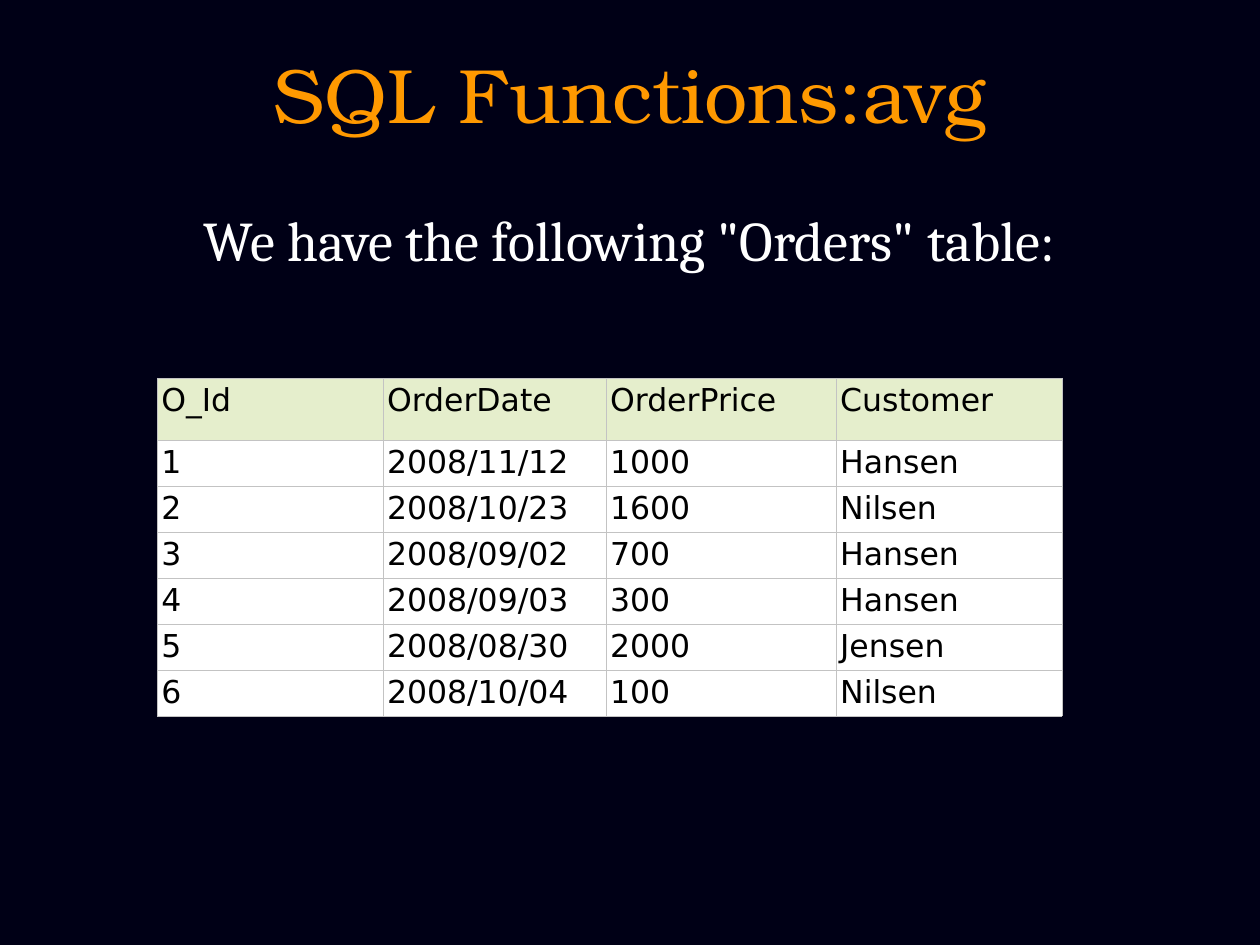
from lxml import etree
from pptx import Presentation
from pptx.dml.color import RGBColor
from pptx.enum.text import MSO_ANCHOR, PP_ALIGN
from pptx.oxml.ns import qn
from pptx.util import Pt

CENTER = PP_ALIGN.CENTER
TOP, MIDDLE = MSO_ANCHOR.TOP, MSO_ANCHOR.MIDDLE

COLORS = {
    "background": "000016",
    "title": "FF9900",
    "intro": "FFFFFF",
    "header": "E5EECC",
    "row": "FFFFFF",
    "cell_text": "000000",
    "border": "C3C3C3",
}

ORDERS = [
    ("O_Id", "OrderDate", "OrderPrice", "Customer"),
    ("1", "2008/11/12", "1000", "Hansen"),
    ("2", "2008/10/23", "1600", "Nilsen"),
    ("3", "2008/09/02", "700", "Hansen"),
    ("4", "2008/09/03", "300", "Hansen"),
    ("5", "2008/08/30", "2000", "Jensen"),
    ("6", "2008/10/04", "100", "Nilsen"),
]
COLUMN_WIDTHS = (129, 127.5, 131.5, 129)
HEADER_HEIGHT = 35.5


def color(name):
    return RGBColor.from_string(COLORS[name])


def style_font(font, face, size, color_name):
    font.name = face
    font.size = Pt(size)
    font.color.rgb = color(color_name)


def add_centered_line(slide, box, text, face, size, color_name, anchor):
    frame = slide.shapes.add_textbox(*map(Pt, box)).text_frame
    frame.word_wrap = True
    frame.vertical_anchor = anchor
    frame.text = text
    line = frame.paragraphs[0]
    line.alignment = CENTER
    style_font(line.runs[0].font, face, size, color_name)


def set_borders(cell):
    """Draw thin lines on all four sides; they must precede the cell fill."""
    properties = cell._tc.get_or_add_tcPr()
    for position, side in enumerate(("a:lnL", "a:lnR", "a:lnT", "a:lnB")):
        border = etree.Element(qn(side), w=str(Pt(0.34)))
        fill = etree.SubElement(border, qn("a:solidFill"))
        etree.SubElement(fill, qn("a:srgbClr"), val=COLORS["border"])
        properties.insert(position, border)


def fill_cell(cell, text, fill_name):
    cell.fill.solid()
    cell.fill.fore_color.rgb = color(fill_name)
    set_borders(cell)
    cell.margin_left = cell.margin_right = cell.margin_bottom = Pt(2.2)
    cell.margin_top = Pt(3.6)
    cell.text = text
    entry = cell.text_frame.paragraphs[0]
    entry.line_spacing = 0.94
    style_font(entry.runs[0].font, "DejaVu Sans", 18, "cell_text")


def add_orders_table(slide, box):
    height = box[3]
    table = slide.shapes.add_table(
        len(ORDERS), len(COLUMN_WIDTHS), *map(Pt, box)).table
    for column, width in zip(table.columns, COLUMN_WIDTHS):
        column.width = Pt(width)
    row_height = (height - HEADER_HEIGHT) / (len(ORDERS) - 1)
    for index, order in enumerate(ORDERS):
        table.rows[index].height = Pt(row_height if index else HEADER_HEIGHT)
        for column, text in enumerate(order):
            fill_cell(table.cell(index, column), text,
                      "row" if index else "header")


def main():
    deck = Presentation()
    deck.slide_width, deck.slide_height = Pt(720), Pt(540)
    slide = deck.slides.add_slide(deck.slide_layouts[6])
    slide.background.fill.solid()
    slide.background.fill.fore_color.rgb = color("background")

    add_centered_line(slide, (36, 21.6, 648, 62.6), "SQL Functions:avg",
                      "TeX Gyre Bonum", 44, "title", MIDDLE)
    add_centered_line(slide, (36, 114, 648, 60),
                      'We have the following "Orders" table:',
                      "Cambria", 32, "intro", TOP)
    add_orders_table(slide, (90, 216, sum(COLUMN_WIDTHS), 193.3))
    deck.save("out.pptx")


if __name__ == "__main__":
    main()
